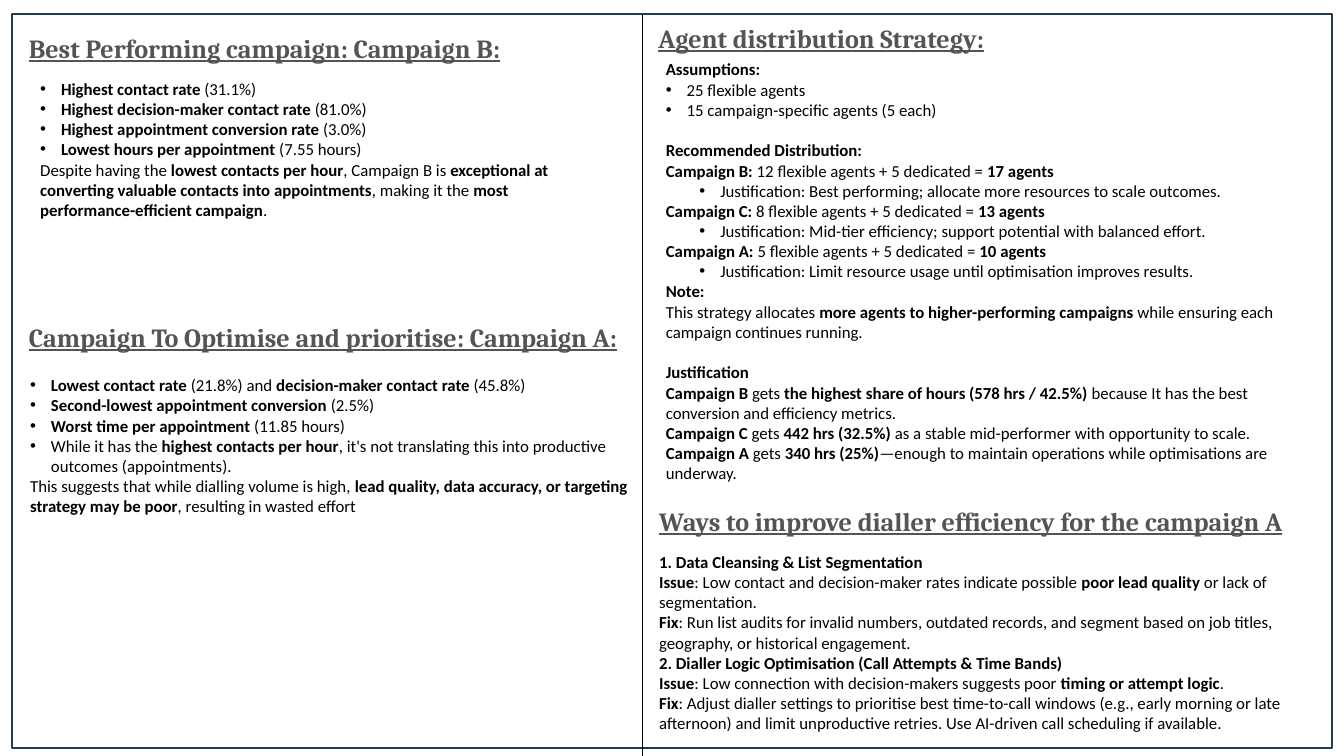
from pptx import Presentation
from pptx.dml.color import RGBColor
from pptx.enum.shapes import MSO_CONNECTOR, MSO_SHAPE
from pptx.enum.text import MSO_AUTO_SIZE
from pptx.util import Inches, Pt
from lxml.etree import SubElement
from pptx.oxml.ns import qn

NAVY = RGBColor(0x23, 0x39, 0x53)
GREY = RGBColor(0x54, 0x54, 0x54)
BLACK = RGBColor(0, 0, 0)

deck = Presentation()
deck.slide_width = Inches(20)
deck.slide_height = Inches(11.25)
slide = deck.slides.add_slide(deck.slide_layouts[6])


def add_box(left, top, width, height):
    box = slide.shapes.add_textbox(Inches(left), Inches(top), Inches(width), Inches(height))
    frame = box.text_frame
    frame.word_wrap = True
    frame.auto_size = MSO_AUTO_SIZE.SHAPE_TO_FIT_TEXT
    return frame


def add_bullet(para, level):
    para.level = level
    props = para._p.get_or_add_pPr()
    props.set("marL", str(Inches(0.31 + 0.5 * level)))
    props.set("indent", str(Inches(-0.31)))
    SubElement(props, qn("a:buFont")).set("typeface", "Arial")
    SubElement(props, qn("a:buChar")).set("char", "•")


border = slide.shapes.add_shape(
    MSO_SHAPE.RECTANGLE, Inches(0.18), Inches(0.21), Inches(19.64), Inches(10.92))
border.shadow.inherit = False
border.fill.background()
border.line.color.rgb = NAVY
border.line.width = Pt(2)

heads = [
    (0.33, 0.43, 7.42, "Best Performing campaign: Campaign B:"),
    (0.33, 4.73, 9.23, "Campaign To Optimise and prioritise: Campaign A:"),
    (9.7, 0.28, 10.33, "Agent distribution Strategy:"),
    (9.71, 7.47, 10.26, "Ways to improve dialler efficiency for the campaign A"),
]
for left, top, width, text in heads:
    para = add_box(left, top, width, 0.57).paragraphs[0]
    para.text = text
    para.font.name = "Cambria"
    para.font.size = Pt(28)
    para.font.bold = True
    para.font.underline = True
    para.font.color.rgb = GREY

# "•" and "–" open first and second level bullets, "^" leaves a gap above, "*" toggles bold
bodies = [
    (0.5, 1.12, 8.58, 2.22, [
        "•*Highest contact rate* (31.1%)",
        "•*Highest decision-maker contact rate* (81.0%)",
        "•*Highest appointment conversion rate* (3.0%)",
        "•*Lowest hours per appointment* (7.55 hours)",
        "Despite having the *lowest contacts per hour*, Campaign B is *exceptional at converting "
        "valuable contacts into appointments*, making it the *most performance-efficient campaign*.",
    ]),
    (0.35, 5.53, 9.24, 2.22, [
        "•*Lowest contact rate* (21.8%) and *decision-maker contact rate* (45.8%)",
        "•*Second-lowest appointment conversion* (2.5%)",
        "•*Worst time per appointment* (11.85 hours)",
        "•While it has the *highest contacts per hour*, it's not translating this into productive "
        "outcomes (appointments).",
        "This suggests that while dialling volume is high, *lead quality, data accuracy, or targeting "
        "strategy may be poor*, resulting in wasted effort",
    ]),
    (9.81, 0.83, 9.69, 6.77, [
        "*Assumptions:*",
        "•25 flexible agents",
        "•15 campaign-specific agents (5 each)",
        "^*Recommended Distribution:*",
        "*Campaign B:* 12 flexible agents + 5 dedicated = *17 agents*",
        "–Justification: Best performing; allocate more resources to scale outcomes.",
        "*Campaign C:* 8 flexible agents + 5 dedicated = *13 agents*",
        "–Justification: Mid-tier efficiency; support potential with balanced effort.",
        "*Campaign A:* 5 flexible agents + 5 dedicated = *10 agents*",
        "–Justification: Limit resource usage until optimisation improves results.",
        "*Note:*",
        "This strategy allocates *more agents to higher-performing campaigns* while ensuring each "
        "campaign continues running.",
        "^*Justification*",
        "*Campaign B* gets *the highest share of hours (578 hrs / 42.5%)* because It has the best "
        "conversion and efficiency metrics.",
        "*Campaign C* gets *442 hrs (32.5%)* as a stable mid-performer with opportunity to scale.",
        "*Campaign A* gets *340 hrs (25%)*—enough to maintain operations while optimisations are "
        "underway.",
    ]),
    (9.71, 8.16, 9.56, 2.83, [
        "*1. Data Cleansing & List Segmentation*",
        "*Issue*: Low contact and decision-maker rates indicate possible *poor lead quality* or lack "
        "of segmentation.",
        "*Fix*: Run list audits for invalid numbers, outdated records, and segment based on job "
        "titles, geography, or historical engagement.",
        "*2. Dialler Logic Optimisation (Call Attempts & Time Bands)*",
        "*Issue*: Low connection with decision-makers suggests poor *timing or attempt logic*.",
        "*Fix*: Adjust dialler settings to prioritise best time-to-call windows (e.g., early morning "
        "or late afternoon) and limit unproductive retries. Use AI-driven call scheduling if "
        "available.",
    ]),
]
for left, top, width, height, lines in bodies:
    frame = add_box(left, top, width, height)
    for row, line in enumerate(lines):
        para = frame.add_paragraph() if row else frame.paragraphs[0]
        mark = line[0]
        if mark in "•–":
            add_bullet(para, "•–".index(mark))
        if mark == "^":
            para.space_before = Pt(22)
        para.font.name = "Calibri"
        para.font.size = Pt(18)
        para.font.color.rgb = BLACK
        for part, text in enumerate(line.lstrip("•–^").split("*")):
            if text:
                run = para.add_run()
                run.text = text
                run.font.bold = part % 2 == 1

rule = slide.shapes.add_connector(
    MSO_CONNECTOR.STRAIGHT, Inches(9.56), Inches(0.21), Inches(9.56), Inches(11.25))
rule.line.color.rgb = BLACK
rule.line.width = Pt(0.75)
SubElement(rule._element.spPr, qn("a:effectLst"))

deck.save("out.pptx")
